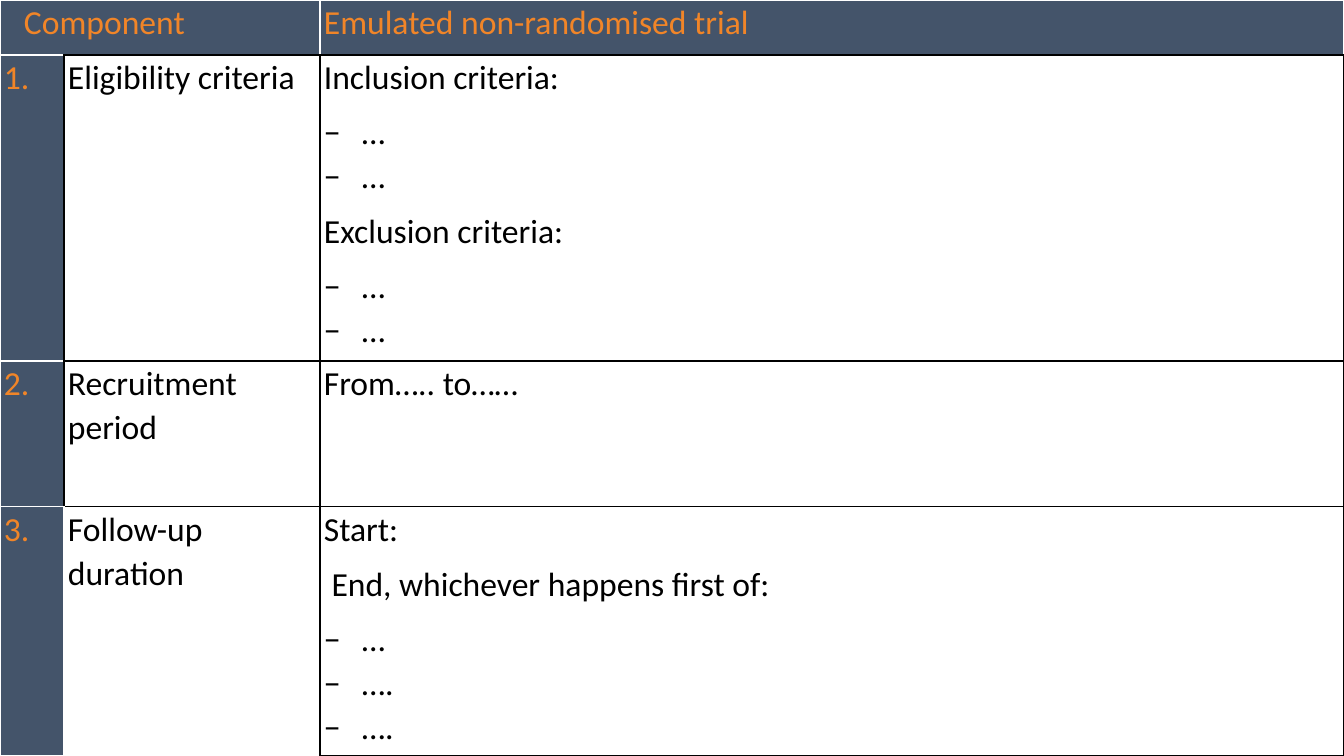
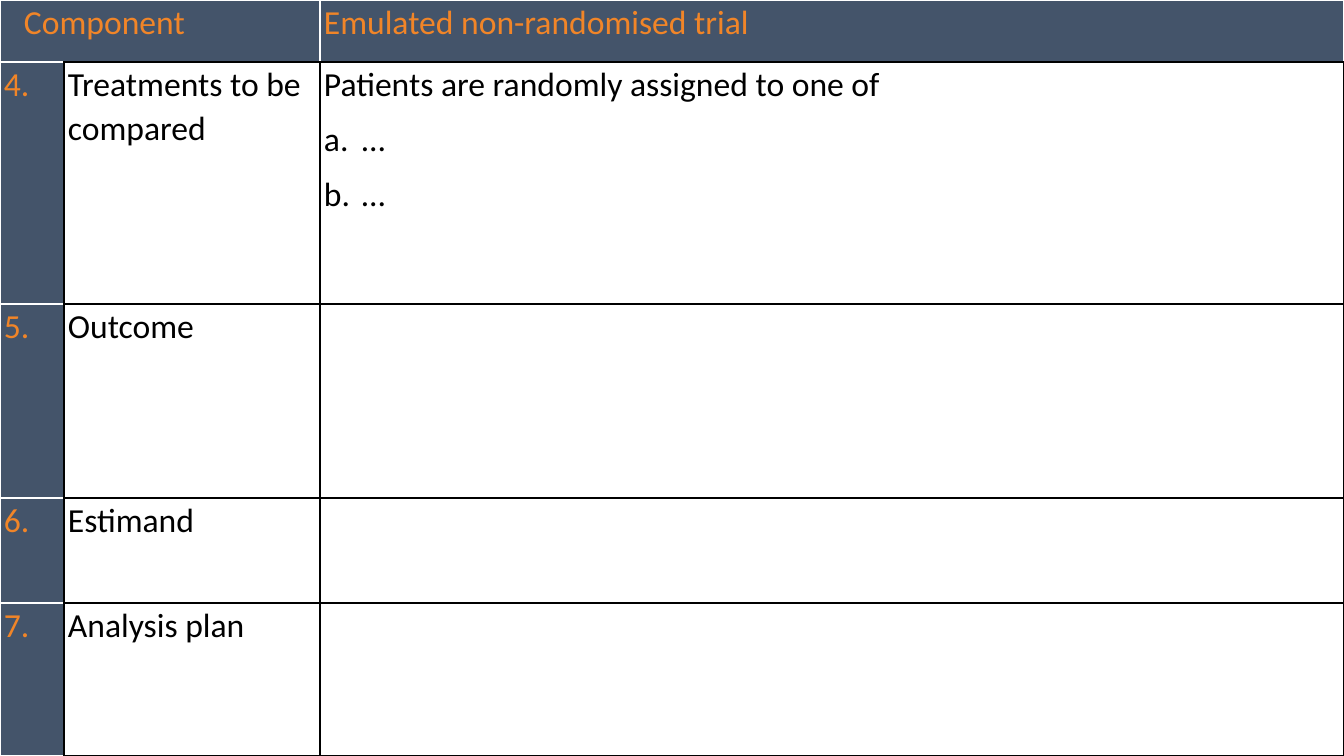
from pptx import Presentation
from pptx.dml.color import RGBColor
from pptx.enum.text import PP_ALIGN
from pptx.oxml.xmlchemy import OxmlElement
from pptx.util import Emu, Pt

SCALE = 914400 / 100.8
WIDE, HIGH = 1344, 756
COLS = (64, 256, 1024)
HEX = {"navy": "44546A", "orange": "F18528", "white": "FFFFFF", "black": "000000"}
EDGE = {"W": "white", "K": "black"}
HEAD = ("Component", "Emulated non-randomised trial")


def px(count):
    """Turn pixels into EMU."""
    return Emu(round(count * SCALE))


def add(parent, tag, **attrs):
    """Append an XML element and return it."""
    node = OxmlElement(tag)
    for key, value in attrs.items():
        node.set(key, str(value))
    parent.append(node)
    return node


class Deck:
    """Holds the shared style and the current slide."""

    def __init__(self):
        """Start an empty deck."""
        self.prs = Presentation()
        self.prs.slide_width, self.prs.slide_height = px(WIDE), px(HIGH)
        self.slide = None

    def page(self):
        """Add a blank slide."""
        self.slide = self.prs.slides.add_slide(self.prs.slide_layouts[6])

    def para(self, par, kind, text, ink):
        """Fill one paragraph; kind is text, left, first, dash, last or letter."""
        par.text = text
        par.line_spacing = 1.07
        par.space_after = Pt(0 if kind == "dash" else 8)
        par.alignment = PP_ALIGN.LEFT if kind in ("left", "letter") else PP_ALIGN.JUSTIFY
        props = par._p.get_or_add_pPr()
        if kind == "first":
            props.set("indent", str(px(20)))
        if kind in ("dash", "last", "letter"):
            props.set("marL", str(px(38)))
            props.set("indent", str(-px(38)))
            add(props, "a:buFont", typeface="Calibri")
            if kind == "letter":
                add(props, "a:buAutoNum", type="alphaLcPeriod")
            else:
                add(props, "a:buChar", char="\u2212")
        par.font.size = Pt(24)
        par.font.name = "Calibri"
        par.font.color.rgb = RGBColor.from_string(HEX[ink])

    def cell(self, cell, lines, edges, dark=False):
        """Style a cell; edges gives left, right, top and bottom colours."""
        cell.margin_left = cell.margin_right = px(4)
        cell.margin_top = cell.margin_bottom = 0
        props = cell._tc.get_or_add_tcPr()
        for side, code in zip("LRTB", edges):
            line = add(props, f"a:ln{side}", w=Pt(1))
            add(add(line, "a:solidFill"), "a:srgbClr", val=HEX[EDGE[code]])
        cell.fill.solid()
        cell.fill.fore_color.rgb = RGBColor.from_string(HEX["navy" if dark else "white"])
        frame = cell.text_frame
        for index, (kind, text) in enumerate(lines):
            par = frame.add_paragraph() if index else frame.paragraphs[0]
            self.para(par, kind, text, "orange" if dark else "black")

    def table(self, heights, rows, start, last="WKWW KKKK"):
        """Draw a full-slide table numbered from start; last is the final row's edges."""
        shape = self.slide.shapes.add_table(len(heights), len(COLS), 0, 0, px(WIDE), px(HIGH))
        grid = shape.table
        grid.first_row = grid.horz_banding = False
        for col, width in zip(grid.columns, COLS):
            col.width = px(width)
        for row, height in zip(grid.rows, heights):
            row.height = px(height)
        grid.cell(0, 0).merge(grid.cell(0, 1))
        self.cell(grid.cell(0, 0), [("first", HEAD[0])], "WWWW", True)
        self.cell(grid.cell(0, 1), [], "WWWW", True)
        self.cell(grid.cell(0, 2), [("text", HEAD[1])], "WWWK", True)
        for at, (label, lines) in enumerate(rows, 1):
            side, main = (last if at == len(rows) else "WKWW KKKK").split()
            self.cell(grid.cell(at, 0), [("left", f"{start + at - 1}.")], side, True)
            self.cell(grid.cell(at, 1), [label], main)
            self.cell(grid.cell(at, 2), lines, "KKKK")


deck = Deck()
dots = [("dash", "…"), ("last", "…")]

deck.page()
deck.table((55, 306, 146, 249), [
    (("text", "Eligibility criteria"),
     [("text", "Inclusion criteria:"), *dots, ("text", "Exclusion criteria:"), *dots]),
    (("text", "Recruitment period"), [("text", "From….. to……")]),
    (("text", "Follow-up duration"),
     [("text", "Start:"), ("text", "\u00a0End, whichever happens first of:"),
      ("dash", "…"), ("dash", "…."), ("last", "….")]),
], 1, "WWWW WKKW")

deck.page()
deck.table((62, 242, 194, 105, 153), [
    (("left", "Treatments to be compared"),
     [("text", "Patients are randomly assigned to one of"), ("letter", "…"), ("letter", "…")]),
    (("text", "Outcome"), []),
    (("left", "Estimand"), []),
    (("left", "Analysis plan"), []),
], 4)

deck.prs.save("out.pptx")
